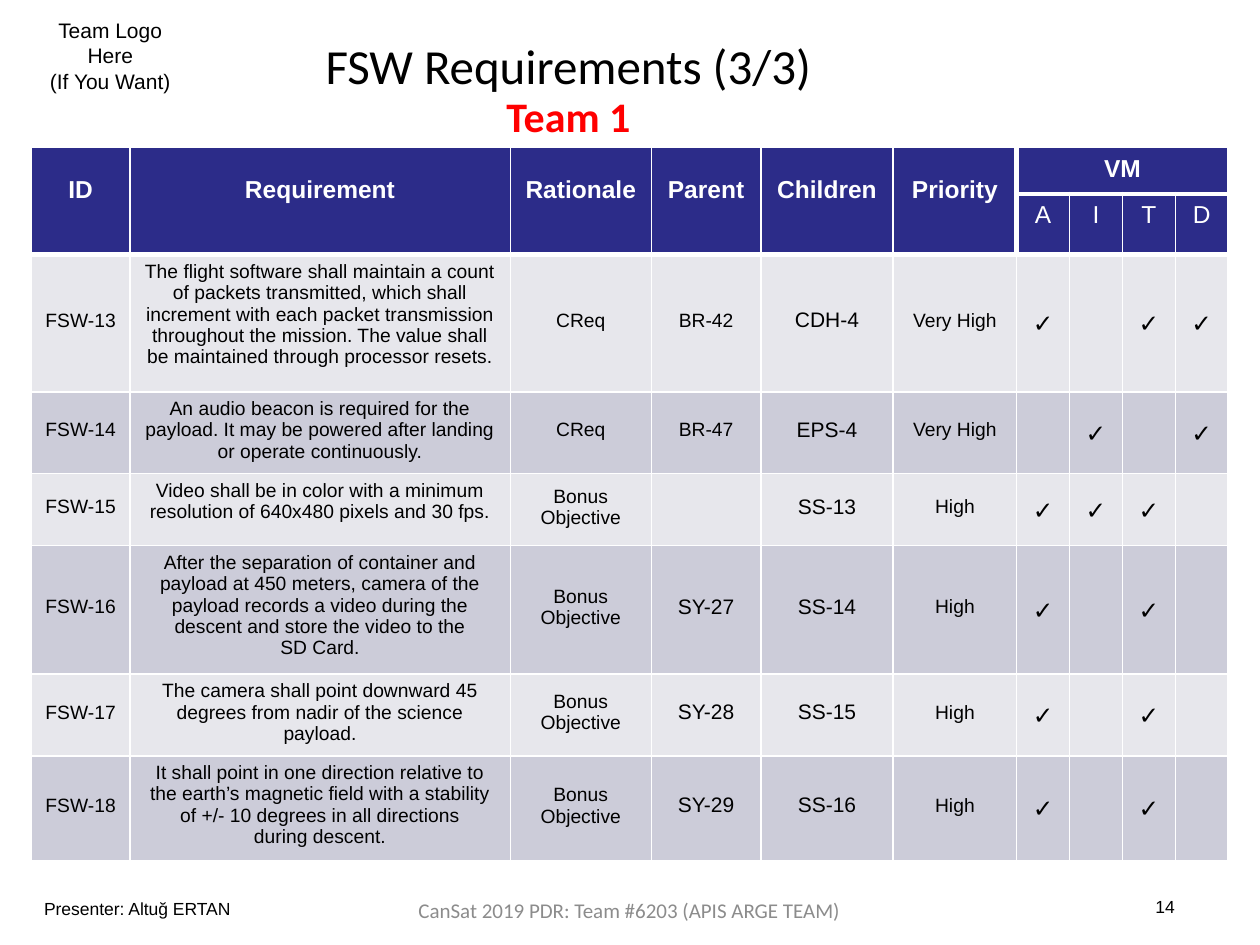
from lxml import etree
from pptx import Presentation
from pptx.dml.color import RGBColor
from pptx.enum.text import MSO_ANCHOR, PP_ALIGN
from pptx.oxml.ns import qn
from pptx.util import Inches, Pt

LEFT, CENTER = PP_ALIGN.LEFT, PP_ALIGN.CENTER
TOP, MIDDLE = MSO_ANCHOR.TOP, MSO_ANCHOR.MIDDLE
WHITE, BLACK, NAVY = "FFFFFF", "000000", "2C2C89"
BANDS = ("E7E7EC", "CCCCD9")
CHECK = "\u2713"
METHODS = "AITD"
HEADINGS = ("ID", "Requirement", "Rationale", "Parent", "Children", "Priority")
COLUMNS = (0.78, 3.02, 1.12, 0.87, 1.05, 0.98, 0.42, 0.42, 0.42, 0.42)
ROWS = (0.37, 0.48, 1.09, 0.65, 0.57, 1.02, 0.65, 0.83)
BONUS = "Bonus\nObjective"
REQUIREMENTS = (
    ("FSW-13", "The flight software shall maintain a count of packets transmitted, "
     "which shall increment with each packet transmission throughout the mission. "
     "The value shall be maintained through processor resets.",
     "CReq", "BR-42", "CDH-4", "Very High", "ATD"),
    ("FSW-14", "An audio beacon is required for the payload. It may be powered "
     "after landing or operate continuously.",
     "CReq", "BR-47", "EPS-4", "Very High", "ID"),
    ("FSW-15", "Video shall be in color with a minimum\n"
     "resolution of 640x480 pixels and 30 fps.",
     BONUS, "", "SS-13", "High", "AIT"),
    ("FSW-16", "After the separation of container and payload at 450 meters, camera "
     "of the payload records a video during the descent and store the video to the "
     "SD\u00a0Card.",
     BONUS, "SY-27", "SS-14", "High", "AT"),
    ("FSW-17", "The camera shall point downward 45 degrees from nadir of the science "
     "payload.",
     BONUS, "SY-28", "SS-15", "High", "AT"),
    ("FSW-18", "It shall point in one direction relative to the earth\u2019s magnetic "
     "field with a stability of +/- 10 degrees in all directions during\u00a0descent.",
     BONUS, "SY-29", "SS-16", "High", "AT"),
)


def color(value):
    return RGBColor.from_string(value)


def write(frame, text, size, tint=BLACK, font="Arial", bold=False, align=CENTER):
    frame.text = text
    for para in frame.paragraphs:
        para.alignment = align
        for span in para.runs:
            span.font.size = Pt(size)
            span.font.name = font
            span.font.bold = bold
            span.font.color.rgb = color(tint)


def add_label(page, box, text, size, anchor=TOP, **style):
    shape = page.shapes.add_textbox(*(Inches(value) for value in box))
    frame = shape.text_frame
    frame.margin_left = frame.margin_right = 0
    frame.margin_top = frame.margin_bottom = 0
    frame.word_wrap = False
    frame.vertical_anchor = anchor
    write(frame, text, size, **style)


def set_borders(cell, heavy=""):
    properties = cell._tc.get_or_add_tcPr()
    for position, side in enumerate("LRTB"):
        line = etree.Element(qn(f"a:ln{side}"), w=str(Pt(3 if side in heavy else 1)))
        fill = etree.SubElement(line, qn("a:solidFill"))
        etree.SubElement(fill, qn("a:srgbClr"), val=WHITE)
        properties.insert(position, line)


def fill_cell(cell, text, size, back, heavy="", anchor=MIDDLE,
              side=0, top=0, bottom=0, **style):
    cell.margin_left = cell.margin_right = Inches(side)
    cell.margin_top, cell.margin_bottom = Inches(top), Inches(bottom)
    cell.vertical_anchor = anchor
    cell.fill.solid()
    cell.fill.fore_color.rgb = color(back)
    set_borders(cell, heavy)
    write(cell.text_frame, text, size, **style)


def fill_header(table):
    first = len(HEADINGS)
    for column, heading in enumerate(HEADINGS):
        heavy = "BR" if column == first - 1 else "B"
        fill_cell(table.cell(0, column), heading, 14, NAVY, heavy,
                  bottom=0.17, tint=WHITE, bold=True)
        fill_cell(table.cell(1, column), "", 14, NAVY, heavy)
        table.cell(0, column).merge(table.cell(1, column))
    for offset, method in enumerate(METHODS):
        left = "L" if offset == 0 else ""
        fill_cell(table.cell(0, first + offset), "" if offset else "VM", 14, NAVY,
                  "B" + left, TOP, top=0.06, tint=WHITE, bold=True)
        fill_cell(table.cell(1, first + offset), method, 14, NAVY,
                  "TB" + left, TOP, top=0.06, tint=WHITE)
    table.cell(0, first).merge(table.cell(0, first + len(METHODS) - 1))


def fill_requirement(table, row, record):
    back = BANDS[row % 2]
    heavy = "T" if row == 2 else ""
    for column, text in enumerate(record[:-1]):
        cell = table.cell(row, column)
        if HEADINGS[column] == "Requirement":
            fill_cell(cell, text, 11, back, heavy, TOP, side=0.11, top=0.05)
        else:
            large = HEADINGS[column] == "Children" or text.startswith("SY")
            fill_cell(cell, text, 12 if large else 11, back, heavy, bottom=0.04)
    for column, method in enumerate(METHODS, len(HEADINGS)):
        mark = CHECK if method in record[-1] else ""
        fill_cell(table.cell(row, column), mark, 14, back, heavy, font="Noto Sans")


def add_requirements(page, left, top):
    frame = page.shapes.add_table(len(ROWS), len(COLUMNS), Inches(left), Inches(top),
                                  Inches(sum(COLUMNS)), Inches(sum(ROWS)))
    table = frame.table
    for column, width in zip(table.columns, COLUMNS):
        column.width = Inches(width)
    for row, height in zip(table.rows, ROWS):
        row.height = Inches(height)
    fill_header(table)
    for row, record in enumerate(REQUIREMENTS, 2):
        fill_requirement(table, row, record)


def add_heading(page, left, top):
    add_label(page, (left, top, 0.99, 0.59), "Team Logo\nHere\n(If You Want)", 12)
    add_label(page, (left + 2.2, top + 0.13, 3.86, 0.49), "FSW Requirements (3/3)", 28,
              MIDDLE, font="Calibri")
    add_label(page, (left + 3.64, top + 0.58, 1.8, 0.4), "Team 1", 24,
              font="Calibri", tint="FF0000", bold=True, align=LEFT)


def add_footer(page, left, top):
    add_label(page, (left + 0.01, top, 1.56, 0.18), "Presenter: Altu\u011f ERTAN", 10,
              align=LEFT)
    add_label(page, (left + 2.98, top, 3.35, 0.18),
              "CanSat 2019 PDR: Team #6203 (APIS ARGE TEAM)", 12, MIDDLE,
              font="Calibri", tint="8C8C8C")
    add_label(page, (left + 8.83, top - 0.02, 0.27, 0.18), "14", 10, align=LEFT)


deck = Presentation()
deck.slide_width, deck.slide_height = Inches(10), Inches(7.5)
page = deck.slides.add_slide(deck.slide_layouts[6])
add_heading(page, 0.38, 0.14)
add_requirements(page, 0.25, 1.17)
add_footer(page, 0.34, 7.13)
deck.save("out.pptx")
